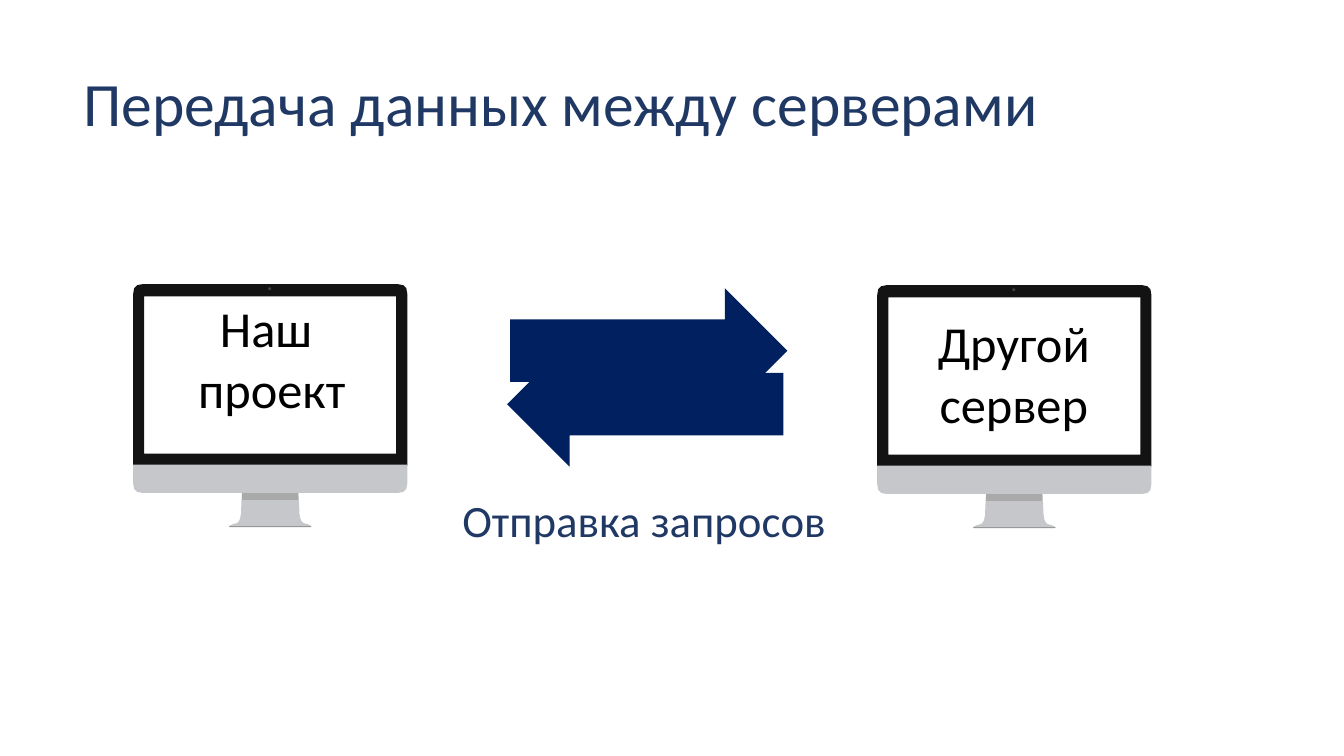
from pptx import Presentation
from pptx.dml.color import RGBColor
from pptx.enum import shapes, text
from pptx.util import Inches, Pt

THEME = {
    "font": "Calibri",
    "heading": "203864", "label": "000000", "arrow": "002060",
    "bezel": "131313", "camera": "414041",
    "metal": "C6C7CA", "shade": "A9A9A9", "base": "919191",
    "title_pt": 44, "caption_pt": 32, "label_pt": 36,
}
LEFT, CENTER = text.PP_ALIGN.LEFT, text.PP_ALIGN.CENTER
TOP, MIDDLE = text.MSO_ANCHOR.TOP, text.MSO_ANCHOR.MIDDLE

TITLE = ("Передача данных между серверами", (0.73, 0.33, 12.24, 1.45))
CAPTION = ("Отправка запросов", (3.42, 4.65, 5.94, 1.08))
# Monitor corner, label lines, label box
MONITORS = [
    ((1.32, 2.82), ["Наш ", "проект"], (1.45, 2.9, 2.49, 1.92)),
    ((8.7, 2.83), ["Другой сервер"], (8.81, 3.05, 2.49, 1.31)),
]
# Box, rotation
ARROWS = [((5.06, 2.86, 2.75, 1.24), 0), ((5.03, 3.39, 2.74, 1.24), 180)]

# Left halves of the monitor outlines, measured from its top left corner
MONITOR_W = 2.72
CAMERA = (1.34, 0.03, 0.03, 0.03)
MONITOR_PARTS = [
    ("base", [[(0.95, 2.4), (0.96, 2.41)]]),
    ("metal", [[(1.08, 2.03), (1.07, 2.28), (1.06, 2.33), (1.05, 2.35),
                (1.03, 2.37), (0.99, 2.38), (0.95, 2.4)]]),
    ("shade", [[(1.08, 2.03), (1.08, 2.14)]]),
    ("bezel", [[(0.09, 0), (0.04, 0.01), (0.01, 0.04), (0, 0.1), (0, 1.8)],
               [(0.11, 0.12), (0.11, 1.68)]]),
    ("metal", [[(0, 1.79), (0, 1.97), (0.01, 2.03), (0.04, 2.06), (0.09, 2.07)]]),
]


def paint(sp, color):
    sp.shadow.inherit = False
    sp.fill.solid()
    sp.fill.fore_color.rgb = RGBColor.from_string(color)
    sp.line.fill.background()


def add_text(slide, box, lines, size, color, align=CENTER, anchor=TOP,
             side_inset=0.1, spacing=1.0):
    tf = slide.shapes.add_textbox(*map(Inches, box)).text_frame
    tf.word_wrap = True
    tf.vertical_anchor = anchor
    tf.margin_left = tf.margin_right = Inches(side_inset)
    tf.margin_top = tf.margin_bottom = Inches(0.05)
    tf.text = "\n".join(lines)
    for p in tf.paragraphs:
        p.alignment = align
        p.line_spacing = spacing
        for r in p.runs:
            r.font.name = THEME["font"]
            r.font.size = Pt(size)
            r.font.color.rgb = RGBColor.from_string(color)


def add_symmetric(container, corner, halves, color):
    """Draw one shape from left-half contours mirrored on the monitor's axis."""
    x, y = corner
    builder = None
    for half in halves:
        outline = half + [(MONITOR_W - px, py) for px, py in reversed(half)]
        points = [(Inches(x + px), Inches(y + py)) for px, py in outline]
        if builder is None:
            builder = container.build_freeform(*points[0])
        else:
            builder.move_to(*points[0])
        builder.add_line_segments(points[1:], close=True)
    paint(builder.convert_to_shape(), color)


def add_monitor(slide, corner):
    group = slide.shapes.add_group_shape().shapes
    for color, halves in MONITOR_PARTS:
        add_symmetric(group, corner, halves, THEME[color])
    x, y, w, h = CAMERA
    camera = group.add_shape(shapes.MSO_SHAPE.OVAL, Inches(corner[0] + x),
                             Inches(corner[1] + y), Inches(w), Inches(h))
    paint(camera, THEME["camera"])


def main():
    prs = Presentation()
    prs.slide_width, prs.slide_height = Inches(13.33), Inches(7.5)
    slide = prs.slides.add_slide(prs.slide_layouts[6])

    caption, box = CAPTION
    add_text(slide, box, [caption], THEME["caption_pt"], THEME["heading"],
             anchor=MIDDLE, spacing=0.9)
    for corner, lines, box in MONITORS:
        add_monitor(slide, corner)
        add_text(slide, box, lines, THEME["label_pt"], THEME["label"],
                 side_inset=0.05)
    for box, rotation in ARROWS:
        arrow = slide.shapes.add_shape(shapes.MSO_SHAPE.RIGHT_ARROW,
                                       *map(Inches, box))
        arrow.rotation = rotation
        paint(arrow, THEME["arrow"])
    title, box = TITLE
    add_text(slide, box, [title], THEME["title_pt"], THEME["heading"],
             align=LEFT, anchor=MIDDLE, spacing=0.9)

    prs.save("out.pptx")


if __name__ == "__main__":
    main()
